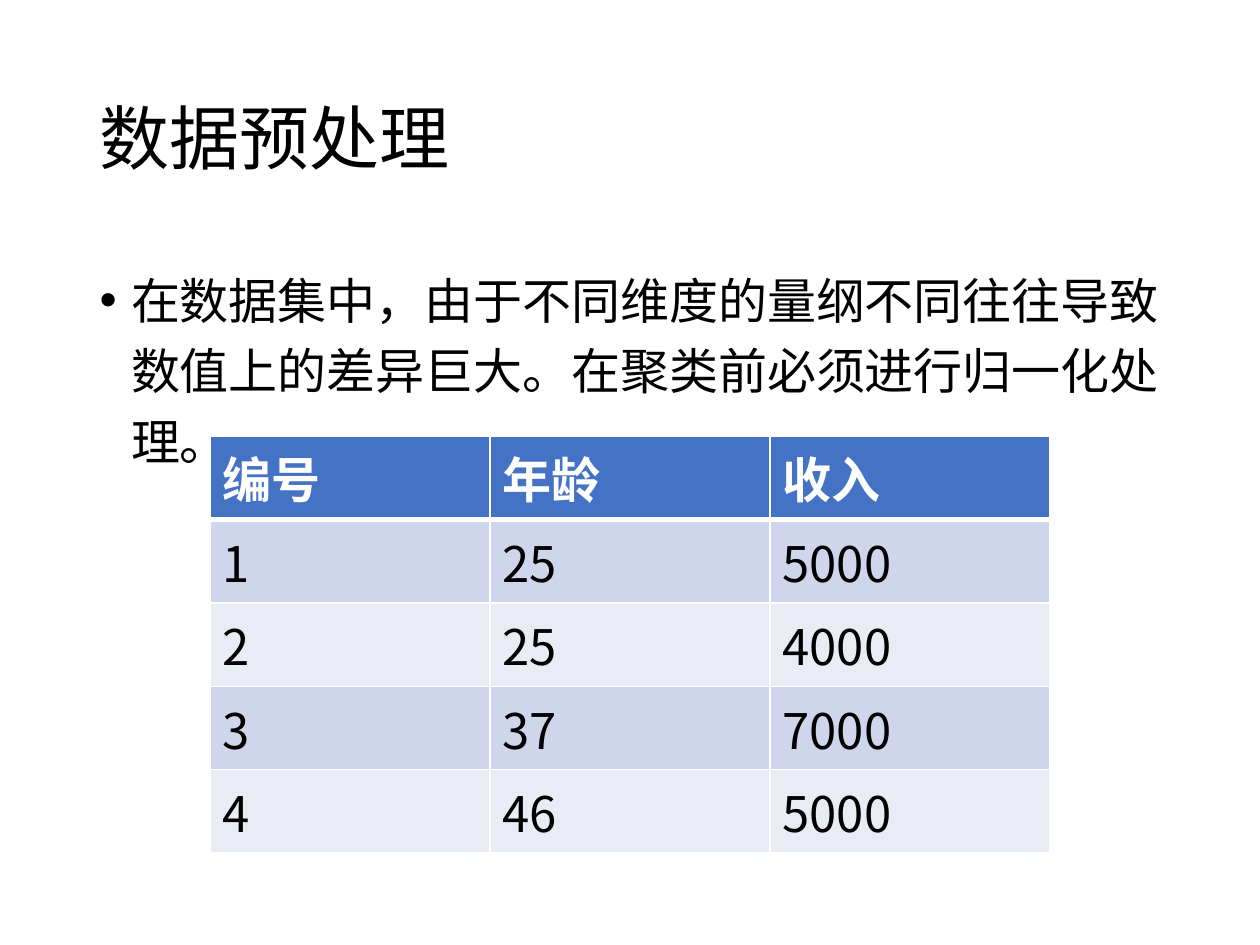
from lxml import etree
from pptx import Presentation
from pptx import util as u
from pptx.dml.color import RGBColor
from pptx.enum import text
from pptx.oxml import ns

WIDTH, HEIGHT = u.Inches(10), u.Inches(7.5)
FONT = "Noto Sans CJK SC"
COLORS = {
    "ink": "000000",
    "paper": "FFFFFF",
    "header": "4472C4",
    "odd": "CFD5EA",
    "even": "E9EBF5",
}
HEADING = "数据预处理"
EXPLANATION = "在数据集中，由于不同维度的量纲不同往往导致数值上的差异巨大。在聚类前必须进行归一化处理。"
RECORDS = [
    ("编号", "年龄", "收入"),
    ("1", "25", "5000"),
    ("2", "25", "4000"),
    ("3", "37", "7000"),
    ("4", "46", "5000"),
]


def color(key):
    return RGBColor.from_string(COLORS[key])


def add_run(paragraph, words, size, ink="ink", bold=False):
    run = paragraph.add_run()
    run.text = words
    font = run.font
    font.name, font.size, font.bold = FONT, u.Pt(size), bold
    font.color.rgb = color(ink)
    east_asian = etree.SubElement(font._element, ns.qn("a:ea"))
    east_asian.set("typeface", FONT)


def place(item, left, top, width, height):
    item.left, item.width = int(WIDTH * left), int(WIDTH * width)
    item.top, item.height = int(HEIGHT * top), int(HEIGHT * height)


def fill_placeholder(holder, words, size, top, height, anchor, line_spacing):
    place(holder, 0.069, top, 0.862, height)
    frame = holder.text_frame
    frame.word_wrap = True
    frame.auto_size = text.MSO_AUTO_SIZE.NONE
    frame.vertical_anchor = anchor
    paragraph = frame.paragraphs[0]
    paragraph.alignment = text.PP_ALIGN.LEFT
    paragraph.line_spacing = line_spacing
    add_run(paragraph, words, size)
    return paragraph


def add_bullet(paragraph, indent):
    properties = paragraph._p.get_or_add_pPr()
    properties.set("marL", str(indent))
    properties.set("indent", str(-indent))
    etree.SubElement(properties, ns.qn("a:buFont")).set("typeface", "Arial")
    etree.SubElement(properties, ns.qn("a:buChar")).set("char", "•")


def set_borders(cell, top, bottom):
    properties = cell._tc.get_or_add_tcPr()
    for side, points in (("L", 1), ("R", 1), ("T", top), ("B", bottom)):
        line = etree.SubElement(properties, ns.qn(f"a:ln{side}"))
        line.set("w", str(u.Pt(points)))
        solid = etree.SubElement(line, ns.qn("a:solidFill"))
        etree.SubElement(solid, ns.qn("a:srgbClr")).set("val", COLORS["paper"])


def fill_cell(cell, words, row):
    is_header = row == 0
    set_borders(cell, top=3 if row == 1 else 1, bottom=3 if is_header else 1)
    cell.fill.solid()
    band = "header" if is_header else "odd" if row % 2 else "even"
    cell.fill.fore_color.rgb = color(band)
    ink = "paper" if is_header else "ink"
    add_run(cell.text_frame.paragraphs[0], words, 28, ink, is_header)


def add_records(slide):
    frame = slide.shapes.add_table(len(RECORDS), len(RECORDS[0]), 0, 0, WIDTH, HEIGHT)
    records = frame.table
    for column in records.columns:
        column.width = WIDTH * 2 // 9
    for row in records.rows:
        row.height = u.Inches(0.41)
    place(frame, 1 / 6, 3.46 / 7.5, 2 / 3, 2.83 / 7.5)
    for row, record in enumerate(RECORDS):
        for column, words in enumerate(record):
            fill_cell(records.cell(row, column), words, row)


def main():
    deck = Presentation()
    deck.slide_width, deck.slide_height = WIDTH, HEIGHT
    slide = deck.slides.add_slide(deck.slide_layouts[1])
    slide.background.fill.solid()
    slide.background.fill.fore_color.rgb = color("paper")
    title, body = slide.placeholders
    fill_placeholder(title, HEADING, 40, 0.4 / 7.5, 1.45 / 7.5, text.MSO_ANCHOR.MIDDLE, 0.9)
    explanation = fill_placeholder(
        body, EXPLANATION, 28, 2 / 7.5, 4.76 / 7.5, text.MSO_ANCHOR.TOP, 1.2
    )
    explanation.space_before = u.Pt(10)
    add_bullet(explanation, u.Inches(0.25))
    add_records(slide)
    deck.save("out.pptx")


if __name__ == "__main__":
    main()
